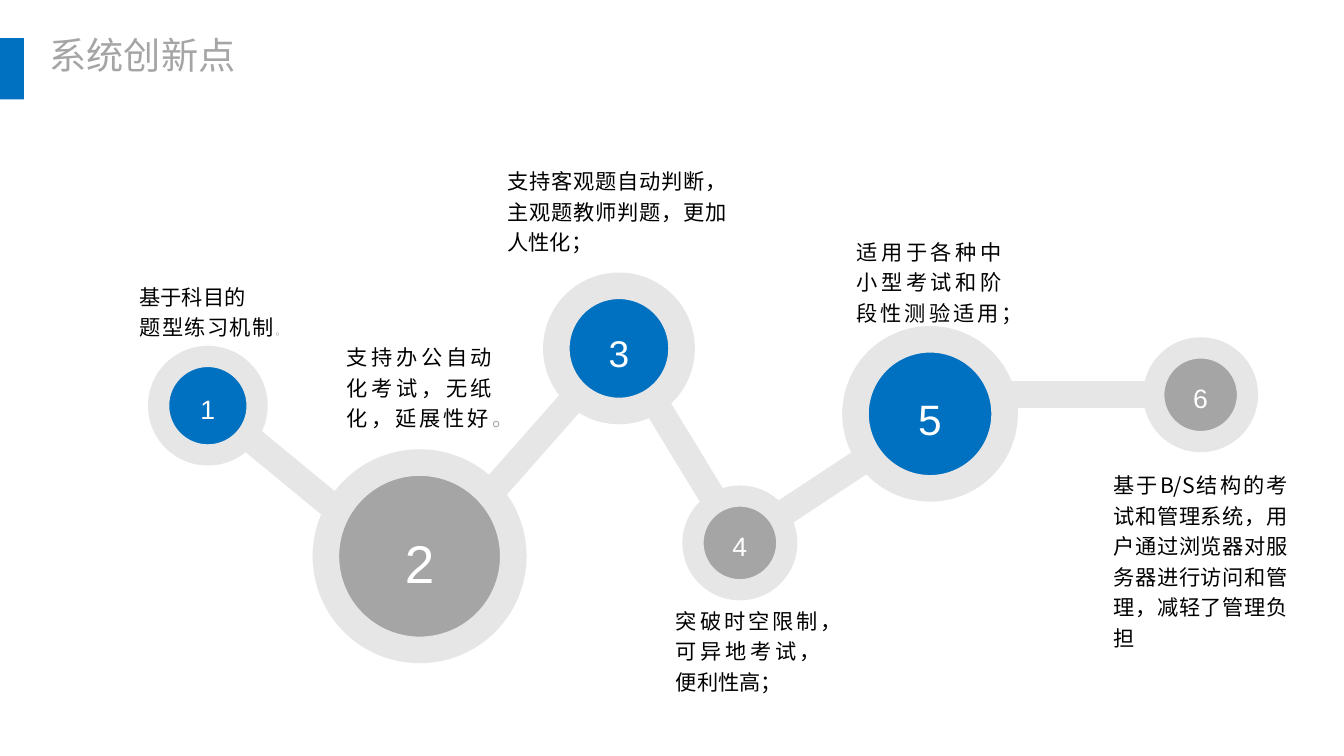
from lxml import etree
from pptx import Presentation
from pptx.dml.color import RGBColor
from pptx.enum.shapes import MSO_CONNECTOR, MSO_SHAPE
from pptx.enum.text import MSO_ANCHOR, MSO_AUTO_SIZE, PP_ALIGN
from pptx.oxml.ns import qn
from pptx.util import Inches, Pt

OVAL, RECT = MSO_SHAPE.OVAL, MSO_SHAPE.RECTANGLE
STRAIGHT = MSO_CONNECTOR.STRAIGHT
MIDDLE = MSO_ANCHOR.MIDDLE
FIT = MSO_AUTO_SIZE.SHAPE_TO_FIT_TEXT
CENTER, JUSTIFY, LEFT = PP_ALIGN.CENTER, PP_ALIGN.JUSTIFY, PP_ALIGN.LEFT

LATIN, CJK = "Arial", "Noto Sans CJK SC"
BLUE, GRAY, RING = "0070C0", "A5A5A5", "E7E6E6"
WHITE, BLACK, PALE = "FFFFFF", "000000", "A6A6A6"

# x1, y1, x2, y2
LINKS = [
    (12.07, 4.13, 9.36, 4.13),
    (6.49, 3.62, 4.84, 5.49),
    (9.24, 4.68, 7.74, 5.67),
    (6.48, 3.6, 7.74, 5.67),
    (2.58, 4.56, 3.71, 5.49),
]

# number, left, top, diameter, fill, ring width, text size
NODES = [
    ("1", 1.66, 3.73, 1.03, BLUE, 16, 20),
    ("2", 3.41, 4.84, 1.96, GRAY, 20, 40),
    ("3", 5.82, 2.99, 1.31, BLUE, 20, 28),
    ("4", 7.25, 5.19, 0.98, GRAY, 16, 20),
    ("5", 8.95, 3.55, 1.56, BLUE, 20, 32),
    ("6", 12.07, 3.64, 0.98, GRAY, 16, 20),
]

# box, paragraphs of (text, size, font, colour) runs
NOTES = [
    ((1.46, 2.92, 1.42, 0.65),
     [[("基于科目的", 16, CJK, BLACK)],
      [("题型练习机制", 16, CJK, BLACK), ("。", 8, LATIN, PALE)]]),
    ((3.63, 3.55, 1.52, 0.97),
     [[("支持办公自动化考试，无纸化，延展性好", 16, CJK, BLACK),
       ("。", 16, LATIN, PALE)]]),
    ((5.31, 1.71, 2.3, 0.97),
     [[("支持客观题自动判断，主观题教师判题，更加人性化；", 16, CJK, BLACK)]]),
    ((7.07, 6.31, 1.52, 0.97),
     [[("突破时空限制，可异地考试，便利性高；", 16, CJK, BLACK)]]),
    ((8.96, 2.45, 1.52, 0.93),
     [[("适用于各种中小型考试和阶段性测验适用；", 16, CJK, BLACK)]]),
    ((11.65, 4.89, 1.82, 1.94),
     [[("基于B/S结构的考试和管理系统，用户通过浏览器对服务器进行访问和管理，"
        "减轻了管理负担", 16, CJK, BLACK)]]),
]


def rgb(color):
    return RGBColor.from_string(color)


def set_attrs(obj, values):
    for name, value in values.items():
        setattr(obj, name, value)


def set_margins(tf, x, y):
    set_attrs(tf, {"margin_left": Inches(x), "margin_right": Inches(x),
                   "margin_top": Inches(y), "margin_bottom": Inches(y)})


def write(p, runs, align, spacing):
    set_attrs(p, {"alignment": align, "line_spacing": spacing})
    for text, size, font, color in runs:
        r = p.add_run()
        r.text = text
        set_attrs(r.font, {"size": Pt(size), "name": font})
        r.font.color.rgb = rgb(color)
        ea = etree.SubElement(r.font._element, qn("a:ea"))
        ea.set("typeface", CJK)


def add_link(s, x1, y1, x2, y2):
    line = s.shapes.add_connector(STRAIGHT, Inches(x1), Inches(y1),
                                  Inches(x2), Inches(y2))
    line.line.color.rgb = rgb(RING)
    line.line.width = Pt(20)
    etree.SubElement(line._element.spPr, qn("a:effectLst"))


def add_filled(s, kind, box, fill):
    sp = s.shapes.add_shape(kind, *map(Inches, box))
    sp.shadow.inherit = False
    sp.fill.solid()
    sp.fill.fore_color.rgb = rgb(fill)
    sp.line.fill.background()
    return sp


def add_node(s, number, left, top, diameter, fill, ring, size):
    sp = add_filled(s, OVAL, (left, top, diameter, diameter), fill)
    sp.line.color.rgb = rgb(RING)
    sp.line.width = Pt(ring)
    tf = sp.text_frame
    tf.vertical_anchor = MIDDLE
    set_margins(tf, 0, 0)
    write(tf.paragraphs[0], [(number, size, LATIN, WHITE)], CENTER, 1.2)


def add_text(s, box, paragraphs, align=JUSTIFY, spacing=1.2,
             wrap=True, margins=(0, 0)):
    tf = s.shapes.add_textbox(*map(Inches, box)).text_frame
    set_attrs(tf, {"word_wrap": wrap, "auto_size": FIT})
    set_margins(tf, *margins)
    for i, runs in enumerate(paragraphs):
        p = tf.add_paragraph() if i else tf.paragraphs[0]
        write(p, runs, align, spacing)


def main():
    prs = Presentation()
    set_attrs(prs, {"slide_width": Inches(14.06), "slide_height": Inches(7.91)})
    s = prs.slides.add_slide(prs.slide_layouts[6])
    for link in LINKS:
        add_link(s, *link)
    for node in NODES:
        add_node(s, *node)
    for box, paragraphs in NOTES:
        add_text(s, box, paragraphs)
    add_filled(s, RECT, (0, 0.4, 0.25, 0.64), BLUE)
    add_text(s, (0.41, 0.29, 2.18, 0.58), [[("系统创新点", 28, LATIN, GRAY)]],
             align=LEFT, spacing=1.0, wrap=False, margins=(0.11, 0.05))
    prs.save("out.pptx")


if __name__ == "__main__":
    main()
